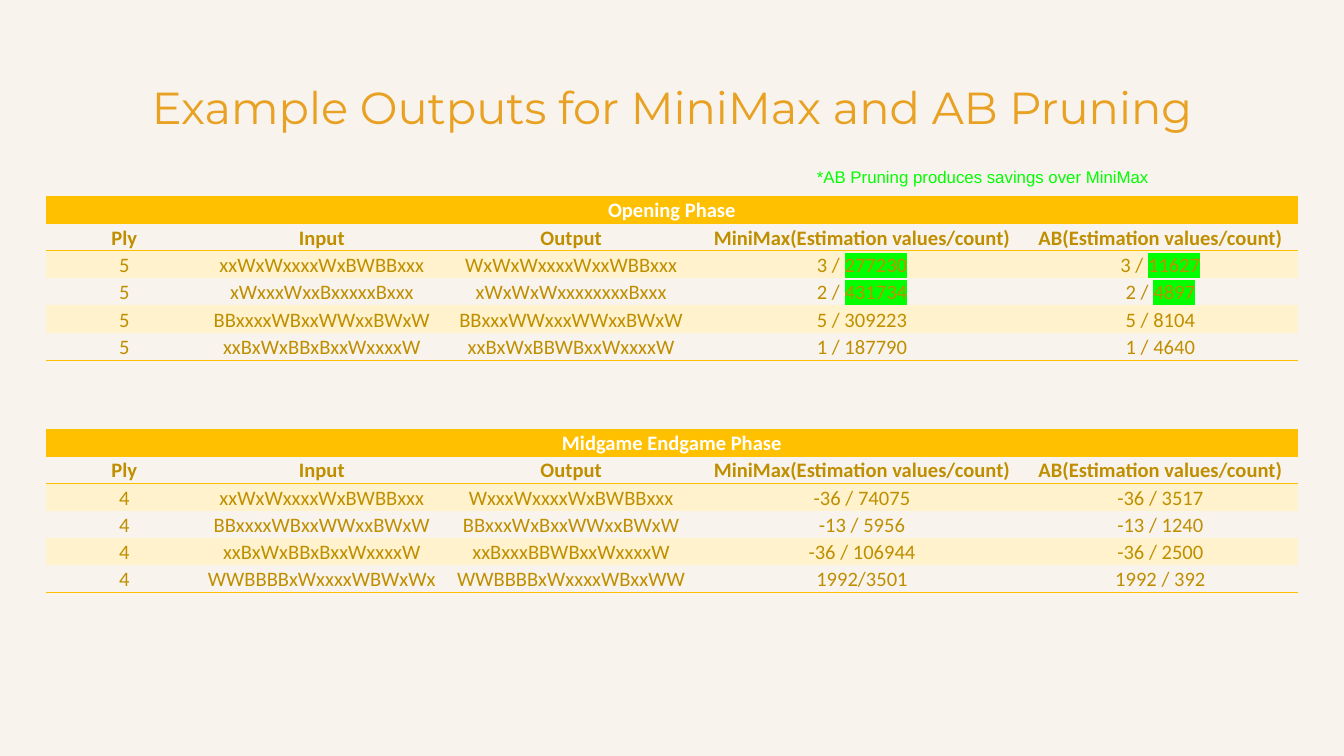
from lxml import etree
from pptx import Presentation
from pptx.dml.color import RGBColor
from pptx.enum.text import MSO_ANCHOR, PP_ALIGN
from pptx.oxml.ns import qn
from pptx.util import Inches, Pt

CENTER, LEFT = PP_ALIGN.CENTER, PP_ALIGN.LEFT
TOP, BOTTOM = MSO_ANCHOR.TOP, MSO_ANCHOR.BOTTOM

CREAM = RGBColor(0xF9, 0xF3, 0xED)
ORANGE = RGBColor(0xE8, 0xA1, 0x22)
GOLD = RGBColor(0xFF, 0xC0, 0x00)
DARK_GOLD = RGBColor(0xBF, 0x8F, 0x00)
PALE_GOLD = RGBColor(0xFF, 0xF2, 0xCC)
WHITE = RGBColor(0xFF, 0xFF, 0xFF)
GREEN = RGBColor(0x00, 0xFF, 0x00)

PLAIN_TABLE_STYLE = "{2D5ABB26-0587-4C30-8999-92F81FD0307C}"
CELL_SIDES = ("lnL", "lnR", "lnT", "lnB")
MARGIN, CONTENT_WIDTH = 0.34, 9.32
COLUMN_WIDTHS = (1.17, 1.77, 1.94, 2.39, 2.05)
TABLE_HEIGHT = 1.22
HEADERS = ("Ply", "Input", "Output", "MiniMax(Estimation values/count)",
           "AB(Estimation values/count)")

# A pair holds plain text followed by highlighted text.
OPENING_ROWS = (
    ("5", "xxWxWxxxxWxBWBBxxx", "WxWxWxxxxWxxWBBxxx", ("3 / ", "277230"), ("3 / ", "11627")),
    ("5", "xWxxxWxxBxxxxxBxxx", "xWxWxWxxxxxxxxBxxx", ("2 / ", "431734"), ("2 / ", "4897")),
    ("5", "BBxxxxWBxxWWxxBWxW", "BBxxxWWxxxWWxxBWxW", "5 / 309223", "5 / 8104"),
    ("5", "xxBxWxBBxBxxWxxxxW", "xxBxWxBBWBxxWxxxxW", "1 / 187790", "1 / 4640"),
)
MIDGAME_ROWS = (
    ("4", "xxWxWxxxxWxBWBBxxx", "WxxxWxxxxWxBWBBxxx", "-36 / 74075", "-36 / 3517"),
    ("4", "BBxxxxWBxxWWxxBWxW", "BBxxxWxBxxWWxxBWxW", "-13 / 5956", "-13 / 1240"),
    ("4", "xxBxWxBBxBxxWxxxxW", "xxBxxxBBWBxxWxxxxW", "-36 / 106944", "-36 / 2500"),
    ("4", "WWBBBBxWxxxxWBWxWx", "WWBBBBxWxxxxWBxxWW", "1992/3501", "1992 / 392"),
)


def add_color(parent, color):
    etree.SubElement(parent, qn("a:srgbClr"), val=str(color))


def write_text(frame, text, highlighted="", *, font, size, color, bold=False, align=CENTER):
    para = frame.paragraphs[0]
    para.alignment = align
    for words in filter(None, (text, highlighted)):
        span = para.add_run()
        span.text = words
        span.font.name = font
        span.font.size = Pt(size)
        span.font.bold = bold
        span.font.color.rgb = color
    if highlighted:
        highlight = etree.Element(qn("a:highlight"))
        add_color(highlight, GREEN)
        # The schema places the highlight right after the text fill.
        next(span.font._element.iter(qn("a:solidFill"))).addnext(highlight)


def add_text_box(slide, box, text, inset_y, **text_format):
    frame = slide.shapes.add_textbox(*map(Inches, box)).text_frame
    frame.word_wrap = True
    frame.vertical_anchor = TOP
    frame.margin_top = frame.margin_bottom = Inches(inset_y)
    write_text(frame, text, **text_format)


def draw_borders(cell, ruled_sides):
    """Rule the given sides and leave the others explicitly empty."""
    properties = cell._tc.get_or_add_tcPr()
    for position, side in enumerate(CELL_SIDES):
        line = etree.Element(qn(f"a:{side}"), w=str(Pt(0.5)))
        if side in ruled_sides:
            add_color(etree.SubElement(line, qn("a:solidFill")), GOLD)
        else:
            etree.SubElement(line, qn("a:noFill"))
        properties.insert(position, line)


def format_cell(cell, content, fill=None, borders=(), color=DARK_GOLD, bold=False):
    cell.vertical_anchor = BOTTOM
    cell.margin_left = cell.margin_right = cell.margin_top = Inches(0.01)
    cell.margin_bottom = 0
    if fill is None:
        cell.fill.background()
    else:
        cell.fill.solid()
        cell.fill.fore_color.rgb = fill
    draw_borders(cell, borders)
    parts = content if isinstance(content, tuple) else (content,)
    write_text(cell.text_frame, *parts, font="Calibri", size=11, color=color, bold=bold)


def add_phase_table(slide, box, phase, rows):
    row_count = len(rows) + 2
    graphic = slide.shapes.add_table(row_count, len(HEADERS), *map(Inches, box))
    table = graphic.table
    table.first_row = table.horz_banding = False
    next(graphic.element.iter(qn("a:tableStyleId"))).text = PLAIN_TABLE_STYLE
    for column, width in zip(table.columns, COLUMN_WIDTHS):
        column.width = Inches(width)
    for row in table.rows:
        row.height = Inches(box[3] / row_count)

    table.cell(0, 0).merge(table.cell(0, len(HEADERS) - 1))
    format_cell(table.cell(0, 0), phase, GOLD, ("lnB",), WHITE, bold=True)
    for column, header in enumerate(HEADERS):
        format_cell(table.cell(1, column), header, borders=("lnT", "lnB"), bold=True)
    for index, values in enumerate(rows):
        fill = PALE_GOLD if index % 2 == 0 else None
        borders = {0: ("lnT",), len(rows) - 1: ("lnB",)}.get(index, ())
        for column, value in enumerate(values):
            format_cell(table.cell(index + 2, column), value, fill, borders)


def main():
    deck = Presentation()
    deck.slide_width = Inches(10)
    deck.slide_height = deck.slide_width * 9 // 16
    slide = deck.slides.add_slide(deck.slide_layouts[6])
    slide.background.fill.solid()
    slide.background.fill.fore_color.rgb = CREAM

    add_text_box(slide, (MARGIN, 0.49, CONTENT_WIDTH, 0.63),
                 "Example Outputs for MiniMax and AB Pruning", 0.1,
                 font="Montserrat", size=24, color=ORANGE)
    phases = ((3.19, "Midgame Endgame Phase", MIDGAME_ROWS),
              (1.46, "Opening Phase", OPENING_ROWS))
    for top, phase, rows in phases:
        add_phase_table(slide, (MARGIN, top, CONTENT_WIDTH, TABLE_HEIGHT), phase, rows)
    add_text_box(slide, (5.98, 1.19, 2.9, 0.25),
                 "*AB Pruning produces savings over MiniMax", 0.05,
                 font="Arial", size=9, color=GREEN, align=LEFT)
    deck.save("out.pptx")


if __name__ == "__main__":
    main()
